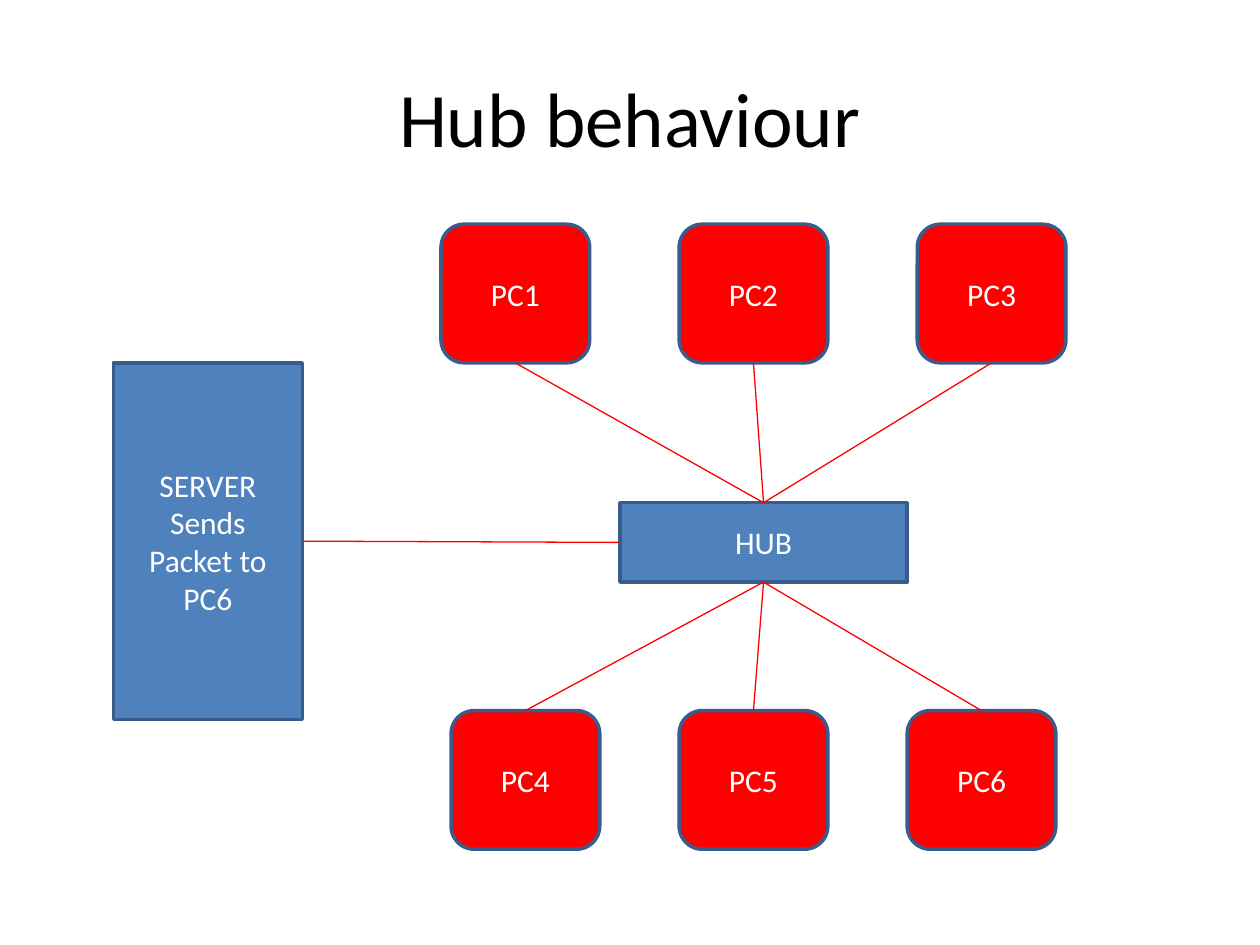
from lxml import etree
from pptx import Presentation
from pptx.dml.color import RGBColor
from pptx.enum.shapes import MSO_CONNECTOR, MSO_SHAPE
from pptx.enum.text import MSO_ANCHOR, PP_ALIGN
from pptx.oxml.ns import qn
from pptx.util import Inches, Pt

BLACK = RGBColor(0x00, 0x00, 0x00)
WHITE = RGBColor(0xFF, 0xFF, 0xFF)
RED = RGBColor(0xFF, 0x00, 0x00)
BLUE = RGBColor(0x4F, 0x81, 0xBD)
DARK_BLUE = RGBColor(0x38, 0x5D, 0x8A)

RECTANGLE = MSO_SHAPE.RECTANGLE
ROUNDED = MSO_SHAPE.ROUNDED_RECTANGLE
STRAIGHT = MSO_CONNECTOR.STRAIGHT
CENTER = PP_ALIGN.CENTER
MIDDLE = MSO_ANCHOR.MIDDLE
TOP, LEFT, BOTTOM, RIGHT = range(4)
TITLE_ONLY = 5

PC_WIDTH, PC_HEIGHT = 1.18, 1.1
PC_ROWS = [
    (["PC1", "PC2", "PC3"], 3.5, 1.78, 1.89, BOTTOM, TOP),
    (["PC4", "PC5", "PC6"], 3.58, 5.64, 1.81, TOP, BOTTOM),
]


def write_text(shape, text, size=18, color=WHITE, font="Calibri"):
    frame = shape.text_frame
    frame.word_wrap = True
    frame.vertical_anchor = MIDDLE
    frame.text = text
    for paragraph in frame.paragraphs:
        paragraph.alignment = CENTER
        paragraph.font.name = font
        paragraph.font.size = Pt(size)
        paragraph.font.color.rgb = color


class Diagram:
    outline = DARK_BLUE
    outline_width = Pt(2)
    link_color = RED
    link_width = Pt(0.75)

    def __init__(self, slide):
        self.slide = slide

    def title(self, text, left, top, width, height):
        shape = self.slide.shapes.title
        shape.left, shape.top = Inches(left), Inches(top)
        shape.width, shape.height = Inches(width), Inches(height)
        write_text(shape, text, size=44, color=BLACK)

    def box(self, text, left, top, width, height, kind=RECTANGLE, fill=BLUE):
        shape = self.slide.shapes.add_shape(
            kind, Inches(left), Inches(top), Inches(width), Inches(height))
        shape.shadow.inherit = False
        shape.fill.solid()
        shape.fill.fore_color.rgb = fill
        shape.line.color.rgb = self.outline
        shape.line.width = self.outline_width
        write_text(shape, text)
        return shape

    def link(self, start, start_side, end, end_side):
        connector = self.slide.shapes.add_connector(STRAIGHT, 0, 0, 0, 0)
        connector.begin_connect(start, start_side)
        connector.end_connect(end, end_side)
        connector.line.color.rgb = self.link_color
        connector.line.width = self.link_width
        etree.SubElement(connector._element.spPr, qn("a:effectLst"))


def main():
    presentation = Presentation()
    presentation.slide_width = Inches(10)
    presentation.slide_height = Inches(7.5)
    slide = presentation.slides.add_slide(presentation.slide_layouts[TITLE_ONLY])
    diagram = Diagram(slide)

    diagram.title("Hub behaviour", 0.5, 0.3, 9, 1.25)
    server = diagram.box("SERVER\nSends\nPacket to PC6", 0.9, 2.88, 1.5, 2.83)
    hub = diagram.box("HUB", 4.92, 3.99, 2.28, 0.63)
    diagram.link(server, RIGHT, hub, LEFT)

    for names, left, top, pitch, pc_side, hub_side in PC_ROWS:
        for column, name in enumerate(names):
            pc = diagram.box(name, left + column * pitch, top,
                             PC_WIDTH, PC_HEIGHT, kind=ROUNDED, fill=RED)
            diagram.link(pc, pc_side, hub, hub_side)

    presentation.save("out.pptx")


if __name__ == "__main__":
    main()
